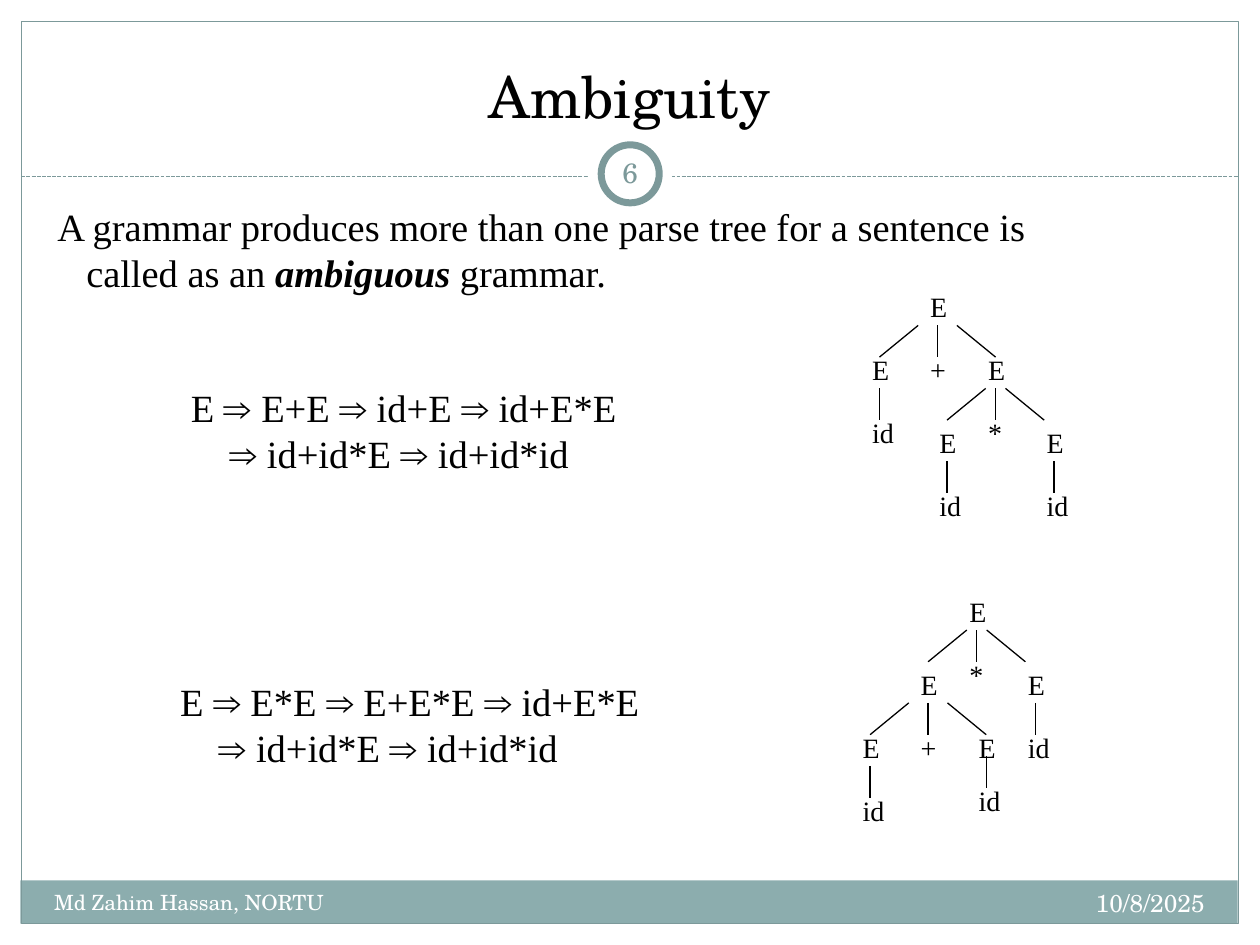
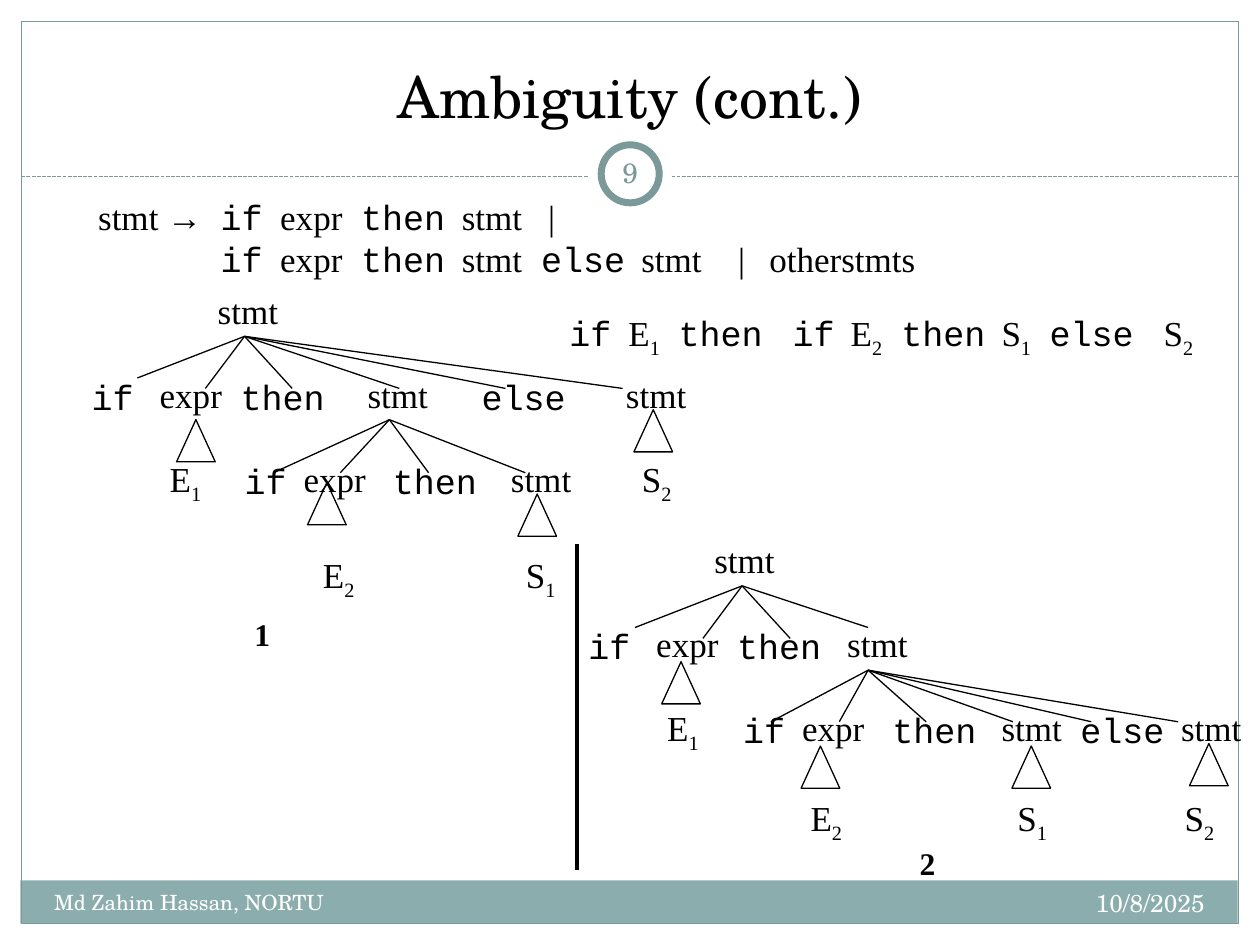
from dataclasses import dataclass

from lxml.etree import SubElement
from pptx import Presentation
from pptx.dml.color import RGBColor
from pptx.enum.dml import MSO_LINE
from pptx.enum.shapes import MSO_CONNECTOR, MSO_SHAPE
from pptx.enum.text import MSO_ANCHOR as Anchor, PP_ALIGN as Align
from pptx.oxml.ns import qn
from pptx.util import Cm, Pt


@dataclass(frozen=True)
class Theme:
    black: RGBColor = RGBColor(0, 0, 0)
    white: RGBColor = RGBColor(255, 255, 255)
    band: RGBColor = RGBColor(0x8C, 0xAD, 0xAE)
    frame: RGBColor = RGBColor(0x7C, 0x99, 0x9A)
    heading: str = "TeX Gyre Schola"
    body: str = "Times New Roman"
    code: str = "Courier New"
    title_size: int = 33
    text_size: int = 22
    grammar_size: int = 20
    label_size: int = 18
    node_size: int = 16
    date_size: int = 14
    footer_size: int = 12
    thin: float = 0.75


THEME = Theme()
KEYWORDS = {"if", "then", "else"}
INSET = 0.25


@dataclass(frozen=True)
class Node:
    """A parse tree node; lift raises what hangs below it."""
    label: str
    children: tuple = ()
    wide: bool = False
    lift: float = 0


@dataclass(frozen=True)
class StatementTree:
    """Rows hold (top, {left: word}); fans hold an apex and its end points."""
    rows: tuple
    fans: tuple
    triangles: tuple
    number: tuple


def format_run(run, size, font=THEME.body, color=THEME.black, bold=False, italic=False):
    run.font.size, run.font.name = Pt(size), font
    run.font.color.rgb = color
    run.font.bold, run.font.italic = bold, italic


def add_text_box(slide, left, top, width, height, anchor=Anchor.TOP):
    frame = slide.shapes.add_textbox(Cm(left), Cm(top), Cm(width), Cm(height)).text_frame
    frame.word_wrap = True
    frame.vertical_anchor = anchor
    return frame


def add_text(slide, text, box, size, align=Align.LEFT, anchor=Anchor.TOP, **style):
    frame = add_text_box(slide, *box, anchor)
    frame.text = text
    for paragraph in frame.paragraphs:
        paragraph.alignment = align
        for run in paragraph.runs:
            format_run(run, size, **style)
    return frame


def add_line(slide, start, end, color=THEME.black, width=THEME.thin):
    points = [Cm(value) for value in (*start, *end)]
    line = slide.shapes.add_connector(MSO_CONNECTOR.STRAIGHT, *points)
    line.line.color.rgb = color
    line.line.width = Pt(width)
    SubElement(line._element.spPr, qn("a:effectLst"))
    return line


def add_outline(slide, kind, box, fill=None, color=None, width=THEME.thin):
    shape = slide.shapes.add_shape(kind, *[Cm(value) for value in box])
    shape.shadow.inherit = False
    if fill is None:
        shape.fill.background()
    else:
        shape.fill.solid()
        shape.fill.fore_color.rgb = fill
    if color is None:
        shape.line.fill.background()
    else:
        shape.line.color.rgb = color
        shape.line.width = Pt(width)
    return shape


def indent(paragraph, distance):
    paragraph._p.get_or_add_pPr().set("marL", str(Cm(distance)))


def set_tab_stops(paragraph, stops):
    tabs = SubElement(paragraph._p.get_or_add_pPr(), qn("a:tabLst"))
    for stop in stops:
        SubElement(tabs, qn("a:tab"), pos=str(Cm(stop)), algn="l")


def add_word(paragraph, word):
    """Add a grammar word: keywords in code type, a final digit as subscript."""
    font = THEME.code if word.strip() in KEYWORDS else THEME.body
    stem = word.rstrip("0123456789")
    run = paragraph.add_run()
    run.text = stem
    format_run(run, THEME.grammar_size, font)
    if stem != word:
        subscript = paragraph.add_run()
        subscript.text = word[len(stem):]
        format_run(subscript, THEME.grammar_size, font)
        subscript.font._element.set("baseline", "-25000")


def add_tabbed_words(paragraph, words, stops):
    set_tab_stops(paragraph, stops)
    for index, word in enumerate(words):
        if index:
            format_run_tab = paragraph.add_run()
            format_run_tab.text = "\t"
            format_run(format_run_tab, THEME.grammar_size)
        if word:
            add_word(paragraph, word)


def add_frame(slide, title, number):
    """Draw the border, footer band, title and numbered ring."""
    add_outline(slide, MSO_SHAPE.RECTANGLE, (0.41, 17.75, 24.54, 0.87), THEME.band)
    add_outline(slide, MSO_SHAPE.RECTANGLE, (0.43, 0.43, 24.54, 18.19), color=THEME.frame)
    rule = add_line(slide, (0.43, 3.56), (24.97, 3.56), THEME.frame)
    rule.line.dash_style = MSO_LINE.SQUARE_DOT
    add_outline(slide, MSO_SHAPE.OVAL, (11.85, 2.67, 1.7, 1.7), THEME.white)
    add_outline(slide, MSO_SHAPE.OVAL, (12.12, 2.92, 1.17, 1.17), THEME.white, THEME.frame, 4)
    add_text(slide, title, (0.84, 0.64, 23.7, 2.11), THEME.title_size,
             Align.CENTER, Anchor.BOTTOM, font=THEME.heading)
    add_text(slide, "10/8/2025", (16.08, 17.78, 8.46, 1.02), THEME.date_size,
             Align.RIGHT, font=THEME.heading, color=THEME.white)
    add_text(slide, "Md Zahim Hassan, NORTU", (0.84, 17.81, 9.96, 1.02), THEME.footer_size,
             font=THEME.heading, color=THEME.white)
    add_text(slide, str(number), (12.07, 2.87, 1.27, 1.22), THEME.node_size,
             Align.CENTER, Anchor.MIDDLE, font=THEME.heading, color=THEME.frame)


def add_parse_tree(slide, node, center, top):
    """Draw a node and, below it, its one child or its fan of three."""
    row, edge_top, edge_height, run, nudge = 1.27, 0.84, 0.64, 0.78, 0.2
    add_text(slide, node.label, (center - 0.4, top, 1, 0.94), THEME.node_size)
    if not node.children:
        return
    start = top + edge_top - node.lift
    end = start + edge_height
    gap = 0.39 if node.wide else nudge
    sides = (0,) if len(node.children) == 1 else (-1, 0, 1)
    for side, child in zip(sides, node.children):
        tip = center + side * (gap + run)
        add_line(slide, (center + side * gap, start), (tip, end))
        narrow = side != 0 and not node.wide
        shift = nudge if narrow and side > 0 else 0
        drop = nudge if narrow else 0
        add_parse_tree(slide, child, tip + shift, top + row + drop - node.lift)


def add_derivation(slide, first, second, box):
    frame = add_text(slide, f"{first}\n{second}", box, THEME.text_size)
    indent(frame.paragraphs[1], 0.78)


def add_definition(slide, box):
    frame = add_text(slide, "A grammar produces more than one parse tree for a sentence is",
                     box, THEME.text_size)
    paragraph = frame.add_paragraph()
    indent(paragraph, 0.58)
    for text, strong in (("called as an ", False), ("ambiguous", True), (" grammar.", False)):
        run = paragraph.add_run()
        run.text = text
        format_run(run, THEME.text_size, bold=strong, italic=strong)


def build_expression_slide(slide):
    add_frame(slide, "Ambiguity", 6)
    add_definition(slide, (0.91, 3.96, 22.63, 2.13))
    add_derivation(slide, "E ⇒ E+E ⇒ id+E ⇒ id+E*E", "⇒ id+id*E ⇒ id+id*id",
                   (3.6, 7.62, 10.5, 2.13))
    add_derivation(slide, "E ⇒ E*E ⇒ E+E*E ⇒ id+E*E", "⇒ id+id*E ⇒ id+id*id",
                   (3.38, 13.54, 11, 2.13))
    leaf = (Node("id"),)
    operand = Node("E", leaf)
    product = Node("E", (operand, Node("*"), operand))
    total = Node("E", (operand, Node("+"), Node("E", leaf, lift=0.2)), wide=True)
    sum_first = Node("E", (operand, Node("+"), product), wide=True)
    product_first = Node("E", (total, Node("*"), operand))
    add_parse_tree(slide, sum_first, 18.9, 5.72)
    add_parse_tree(slide, product_first, 19.69, 11.86)


def add_grammar(slide, box):
    frame = add_text_box(slide, *box)
    stops = [2.47, 3.67, 5.3, 7.33]
    add_tabbed_words(frame.paragraphs[0],
                     ["stmt →", "if", "expr", "then", "stmt", "|"], stops + [9.07])
    add_tabbed_words(frame.add_paragraph(),
                     ["", "if", "expr", "then", "stmt", "else", "stmt", "|", "otherstmts"],
                     stops + [8.93, 10.95, 12.9, 13.53])


def add_sentence(slide, box):
    frame = add_text_box(slide, *box)
    add_tabbed_words(frame.paragraphs[0],
                     ["if", "E1", "then", "if", "E2", "then", "S1", "else", "S2"],
                     [1.19, 2.2, 4.5, 5.67, 6.69, 8.71, 9.68, 11.98])


def add_statement_tree(slide, tree, left, top):
    for row_top, words in tree.rows:
        for word_left, word in words.items():
            keyword = word in KEYWORDS
            width, drop = (2.3, 0.04) if keyword else (1.8, 0)
            frame = add_text_box(slide, left + word_left, top + row_top + drop, width, 1.07)
            add_word(frame.paragraphs[0], word)
    for (apex_x, apex_y), ends in tree.fans:
        for x, y in ends:
            add_line(slide, (left + apex_x, top + apex_y), (left + x, top + y))
    for x, y in tree.triangles:
        add_outline(slide, MSO_SHAPE.ISOSCELES_TRIANGLE,
                    (left + x, top + y, 0.78, 0.85), color=THEME.black)
    label, x, y = tree.number
    add_text(slide, label, (left + x, top + y, 0.85, 1.02), THEME.label_size, bold=True)


def level(y, *xs):
    return [(x, y) for x in xs]


ELSE_OUTSIDE = StatementTree(
    rows=(
        (0, {2.54: "stmt"}),
        (1.69, {0: "if", 1.37: "expr", 3: "then", 5.56: "stmt", 7.86: "else", 10.77: "stmt"}),
        (3.38, {1.57: "E1", 3.08: "if", 4.27: "expr", 6.07: "then", 8.45: "stmt", 11.09: "S2"}),
        (5.32, {4.66: "E2", 8.75: "S1"}),
    ),
    fans=(
        ((3.33, 1.06), level(1.9, 1.17) + level(2.11, 2.54, 4.29, 6.45, 8.59, 10.95)),
        ((6.25, 2.74), level(3.81, 3.91, 5.26, 7.04, 8.99)),
    ),
    triangles=((1.96, 2.74), (4.6, 4.01), (8.84, 4.24), (11.18, 2.54)),
    number=("1", 3.28, 6.55),
)

ELSE_INSIDE = StatementTree(
    rows=(
        (0, {2.54: "stmt"}),
        (1.69, {0: "if", 1.37: "expr", 3: "then", 5.22: "stmt"}),
        (3.38, {1.59: "E1", 3.12: "if", 4.31: "expr", 6.13: "then", 8.33: "stmt",
                9.92: "else", 11.95: "stmt"}),
        (5.19, {4.48: "E2", 8.65: "S1", 12.02: "S2"}),
    ),
    fans=(
        ((3.35, 1.07), level(1.91, 1.19, 5.89) + level(2.13, 2.56, 4.32)),
        ((5.89, 2.77), level(3.81, 3.93, 5.31, 7.06, 8.81, 10.39, 12.14)),
    ),
    triangles=((1.73, 2.6), (4.54, 4.3), (8.79, 4.3), (12.37, 4.25)),
    number=("2", 6.68, 6.15),
)


def build_statement_slide(slide):
    add_frame(slide, "Ambiguity (cont.)", 9)
    add_grammar(slide, (1.73, 3.81, 17.5, 1.96))
    add_sentence(slide, (11.23, 6.15, 13.5, 1.12))
    add_statement_tree(slide, ELSE_OUTSIDE, 1.6, 5.72)
    add_statement_tree(slide, ELSE_INSIDE, 11.61, 10.74)
    add_line(slide, (11.63, 10.97), (11.63, 17.53), width=2.25)


def main():
    presentation = Presentation()
    presentation.slide_width, presentation.slide_height = Cm(25.4), Cm(19.05)
    blank = presentation.slide_layouts[6]
    for build in (build_expression_slide, build_statement_slide):
        build(presentation.slides.add_slide(blank))
    presentation.save("out.pptx")


if __name__ == "__main__":
    main()
